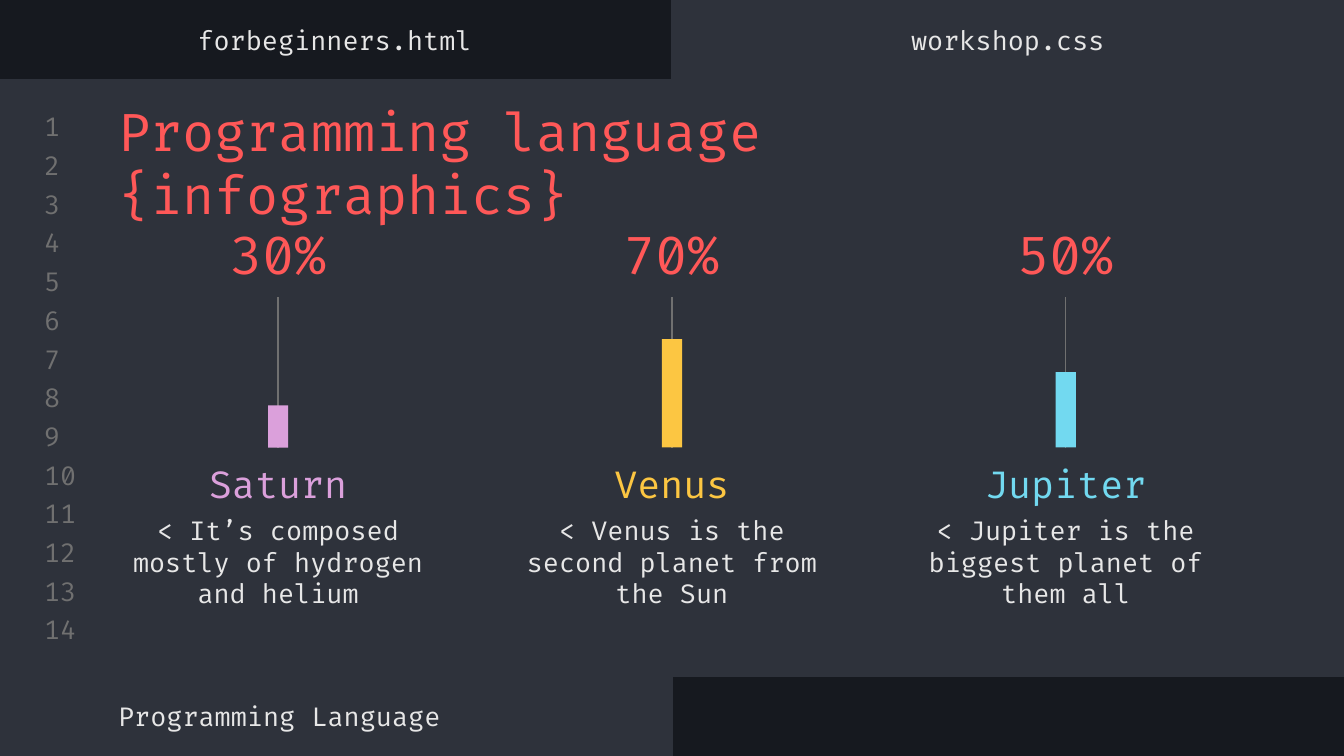
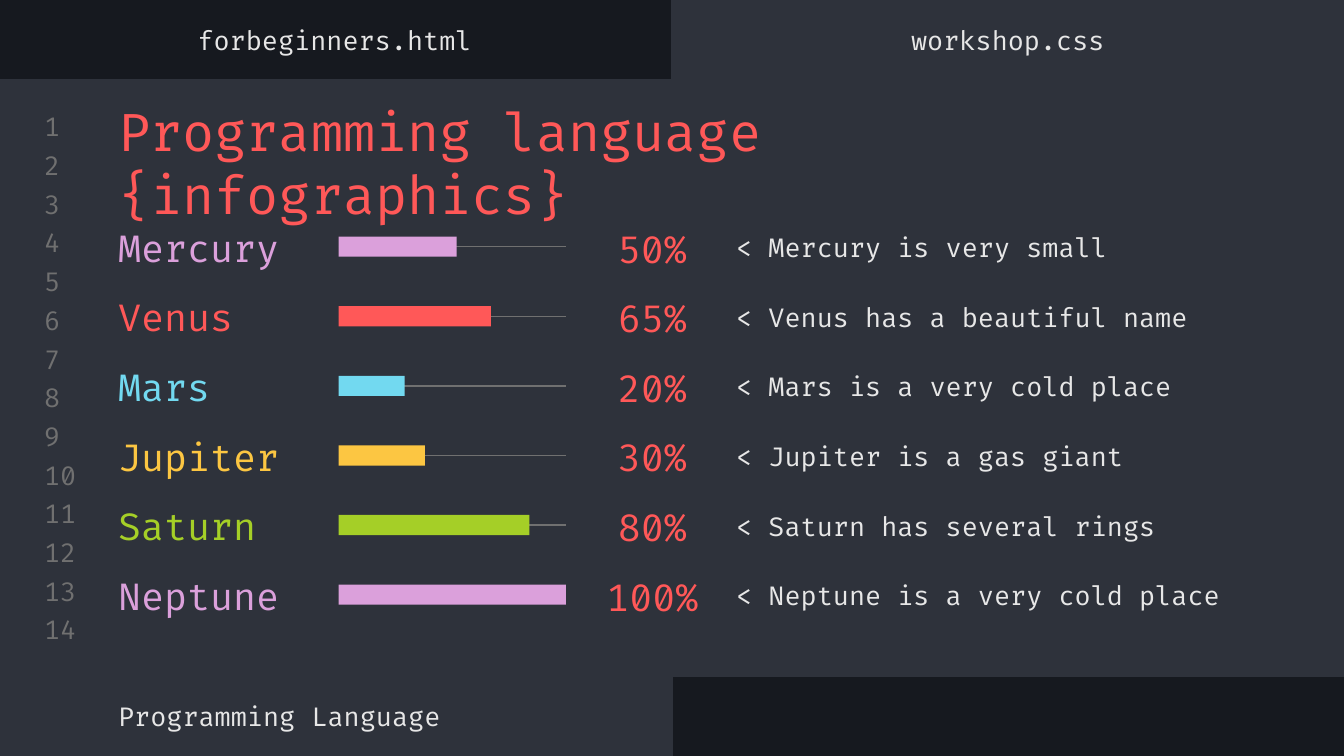
from typing import NamedTuple, Optional

from lxml import etree
from pptx import Presentation
from pptx import util as u
from pptx.dml.color import RGBColor
from pptx.enum import shapes, text
from pptx.oxml import ns

WIDTH = u.Inches(10)
HEIGHT = u.Inches(5.625)
UNIT = WIDTH / 100
ROWS = HEIGHT / UNIT
FONT = "Fira Code"
INSET = 1
BAR_THICKNESS = 1.5

COLORS = {
    "night": "16191F",
    "editor": "2E323B",
    "grey": "707070",
    "light": "E7E7E7",
    "red": "FF5858",
    "pink": "DBA0DB",
    "yellow": "FCC642",
    "blue": "72D9F0",
    "green": "A5CF27",
}
LEFT, CENTER = text.PP_ALIGN.LEFT, text.PP_ALIGN.CENTER
TOP, MIDDLE = text.MSO_ANCHOR.TOP, text.MSO_ANCHOR.MIDDLE


class Box(NamedTuple):
    left: float
    top: float
    width: float
    height: float

    def lengths(self) -> list[int]:
        return [grid(value) for value in self]


class Style(NamedTuple):
    size: int = 14
    color: str = "light"
    align: text.PP_ALIGN = LEFT
    anchor: text.MSO_ANCHOR = MIDDLE


class Planet(NamedTuple):
    label: str
    percent: str
    share: float
    color: str
    fact: str


class Tab(NamedTuple):
    label: str
    box: Box
    style: Style


PANELS = [
    Box(50, 0, 50, 6.5),
    Box(0, ROWS - 6.5, 50, 6.5),
    Box(0, 5.9, 100, 44.4),
]
TABS = [
    Tab("Programming Language", Box(7.8, 51.3, 53.2, 3.9), Style()),
    Tab("forbeginners.html", Box(-0.1, 1, 50, 3.9), Style(align=CENTER)),
    Tab("workshop.css", Box(50, 1, 50, 3.9), Style(align=CENTER)),
]
COLUMN_PLANETS = [
    Planet("Saturn", "30%", 0.28, "pink", "< It’s composed mostly of hydrogen and helium"),
    Planet("Venus", "70%", 0.72, "yellow", "< Venus is the second planet from the Sun"),
    Planet("Jupiter", "50%", 0.5, "blue", "< Jupiter is the biggest planet of them all"),
]
ROW_PLANETS = [
    Planet("Mercury", "50%", 0.52, "pink", "< Mercury is very small"),
    Planet("Venus", "65%", 0.67, "red", "< Venus has a beautiful name"),
    Planet("Mars", "20%", 0.29, "blue", "< Mars is a very cold place"),
    Planet("Jupiter", "30%", 0.38, "yellow", "< Jupiter is a gas giant"),
    Planet("Saturn", "80%", 0.84, "green", "< Saturn has several rings"),
    Planet("Neptune", "100%", 1, "pink", "< Neptune is a very cold place"),
]


def grid(value: float) -> int:
    return round(value * UNIT)


def color(key: str) -> RGBColor:
    return RGBColor.from_string(COLORS[key])


def write(holder, words: str, style: Style) -> None:
    frame = holder.text_frame
    frame.text = words
    frame.word_wrap = True
    frame.auto_size = text.MSO_AUTO_SIZE.NONE
    frame.vertical_anchor = style.anchor
    frame.margin_left = frame.margin_right = grid(INSET)
    frame.margin_top = frame.margin_bottom = grid(INSET)
    paragraph = frame.paragraphs[0]
    paragraph.alignment = style.align
    for run in paragraph.runs:
        run.font.name = FONT
        run.font.size = u.Pt(style.size)
        run.font.color.rgb = color(style.color)


def add_words(slide, words: str, box: Box, style: Style) -> None:
    write(slide.shapes.add_textbox(*box.lengths()), words, style)


def add_block(slide, box: Box, fill: str, outline: Optional[str] = None):
    block = slide.shapes.add_shape(shapes.MSO_SHAPE.RECTANGLE, *box.lengths())
    block.shadow.inherit = False
    block.fill.solid()
    block.fill.fore_color.rgb = color(fill)
    if outline:
        block.line.color.rgb = color(outline)
        block.line.width = u.Pt(0.75)
    else:
        block.line.fill.background()
    return block


def add_track(slide, bar, site: int, end_x: int, end_y: int):
    track = slide.shapes.add_connector(
        shapes.MSO_CONNECTOR.STRAIGHT, bar.left, bar.top, end_x, end_y
    )
    track.begin_connect(bar, site)
    track.line.color.rgb = color("grey")
    track.line.width = u.Pt(0.75)
    etree.SubElement(track._element.spPr, ns.qn("a:effectLst"))
    bar._element.addprevious(track._element)
    return track


def add_column(slide, index: int, planet: Planet) -> None:
    left, width = 7.9 + 29.3 * index, 25.6
    middle = left + width / 2
    base, peak = 33.3, 22.1
    add_words(slide, planet.fact, Box(left, 37.3, width, 8.9), Style(align=CENTER, anchor=TOP))
    add_words(slide, planet.label, Box(left, 34.1, width, 3.7), Style(20, planet.color, CENTER))
    add_words(slide, planet.percent, Box(left, 16.2, width, 5.3), Style(28, "red", CENTER))
    length = (base - peak) * planet.share
    box = Box(middle - BAR_THICKNESS / 2, base - length, BAR_THICKNESS, length)
    bar = add_block(slide, box, planet.color)
    add_track(slide, bar, 2, grid(middle), grid(peak))


def add_row(slide, index: int, planet: Planet) -> None:
    top, height = 15.8 + 5.18 * index, 5.2
    start, end = 25.2, 42.1
    add_words(slide, planet.fact, Box(53.8, top, 38.3, height), Style())
    add_words(slide, planet.label, Box(7.8, top, 15.8, height), Style(20, planet.color))
    add_words(slide, planet.percent, Box(43.7, top, 9.7, height), Style(20, "red", CENTER, TOP))
    box = Box(start, top + 1.8, (end - start) * planet.share, BAR_THICKNESS)
    bar = add_block(slide, box, planet.color)
    track = add_track(slide, bar, 1, grid(end), bar.top + bar.height // 2)
    if planet.share == 1:
        track.end_connect(bar, 3)


def add_editor_slide(deck):
    slide = deck.slides.add_slide(deck.slide_layouts[5])
    slide.background.fill.solid()
    slide.background.fill.fore_color.rgb = color("night")
    title = slide.shapes.title
    for panel in PANELS:
        add_block(slide, panel, "editor", "editor")
    for index in range(14):
        box = Box(2.3, 8.2 + 2.88 * index, 4.7, 2.4)
        add_words(slide, str(index + 1), box, Style(color="grey"))
    title.left, title.top, title.width, title.height = Box(7.8, 6.4, 84.4, 6.3).lengths()
    write(title, "Programming language {infographics}", Style(28, "red", anchor=TOP))
    slide.shapes._spTree.append(title._element)
    for tab in TABS:
        add_words(slide, tab.label, tab.box, tab.style)
    return slide


def main() -> None:
    deck = Presentation()
    deck.slide_width, deck.slide_height = WIDTH, HEIGHT
    for planets, add_planet in ((COLUMN_PLANETS, add_column), (ROW_PLANETS, add_row)):
        slide = add_editor_slide(deck)
        for index, planet in enumerate(planets):
            add_planet(slide, index, planet)
    deck.save("out.pptx")


if __name__ == "__main__":
    main()
